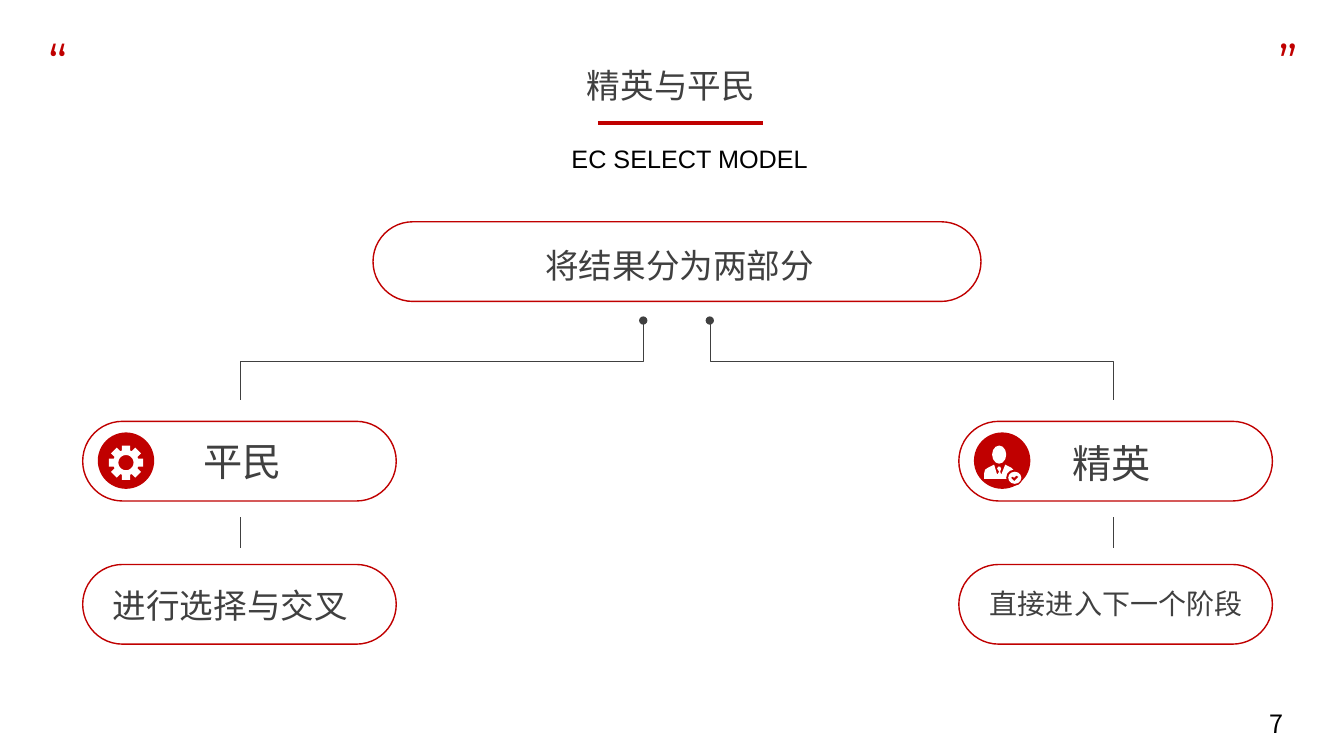
from math import cos, pi, sin

from lxml import etree
from pptx import Presentation
from pptx.dml.color import RGBColor
from pptx.enum.shapes import MSO_CONNECTOR, MSO_SHAPE
from pptx.enum.text import MSO_ANCHOR, MSO_AUTO_SIZE, PP_ALIGN
from pptx.oxml.ns import qn
from pptx.util import Pt

PX = 9144  # 100 px to the inch
PILL, OVAL = MSO_SHAPE.ROUNDED_RECTANGLE, MSO_SHAPE.OVAL
LINE, ELBOW = MSO_CONNECTOR.STRAIGHT, MSO_CONNECTOR.ELBOW
TOP, LEFT = MSO_ANCHOR.TOP, PP_ALIGN.LEFT
GROW = MSO_AUTO_SIZE.SHAPE_TO_FIT_TEXT

COLORS = {"red": "C00000", "gray": "404040", "white": "FFFFFF", "black": "000000"}
HEAD, BODY, HAN = "Montserrat", "Arial", "Noto Sans CJK SC"


def rgb(name):
    return RGBColor.from_string(COLORS[name])


def place(shape, x, y, w, h):
    shape.left, shape.top = x * PX, y * PX
    shape.width, shape.height = w * PX, h * PX


# Text
def style(shape, words, size, font, color, wrap):
    frame = shape.text_frame
    frame.text = words
    frame.word_wrap = wrap
    frame.auto_size = GROW
    frame.vertical_anchor = TOP
    para = frame.paragraphs[0]
    para.alignment = LEFT
    run = para.runs[0]
    run.font.size = Pt(size)
    run.font.name = font
    run.font.color.rgb = rgb(color)
    east = etree.SubElement(run.font._element, qn("a:ea"))
    east.set("typeface", HAN)


def add_text(slide, box, words, size, font=BODY, color="gray", wrap=False):
    shape = slide.shapes.add_textbox(*(n * PX for n in box))
    style(shape, words, size, font, color, wrap)


# Shapes
def paint(shape, color):
    shape.shadow.inherit = False
    shape.fill.solid()
    shape.fill.fore_color.rgb = rgb(color)
    shape.line.fill.background()


def add_pill(slide, x, y, w=311):
    pill = slide.shapes.add_shape(PILL, x * PX, y * PX, w * PX, 79 * PX)
    pill.adjustments[0] = 0.5
    pill.shadow.inherit = False
    pill.fill.background()
    pill.line.color.rgb = rgb("red")
    pill.line.width = Pt(1)


def add_oval(slide, x, y, w, h, color):
    paint(slide.shapes.add_shape(OVAL, x * PX, y * PX, w * PX, h * PX), color)


def add_free(slide, rings, color):
    rings = [[(x * PX, y * PX) for x, y in ring] for ring in rings]
    pen = slide.shapes.build_freeform(*rings[0][0])
    for i, ring in enumerate(rings):
        if i:
            pen.move_to(*ring[0])
        pen.add_line_segments(ring[1:], close=True)
    paint(pen.convert_to_shape(), color)


# Lines
def add_line(slide, x1, y1, x2, y2, color="gray", width=0.25, kind=LINE):
    ends = (round(n * PX) for n in (x1, y1, x2, y2))
    line = slide.shapes.add_connector(kind, *ends)
    line.line.color.rgb = rgb(color)
    line.line.width = Pt(width)
    etree.SubElement(line._element.spPr, qn("a:effectLst"))
    return line


def add_elbow(slide, x1, y1, x2, y2):
    # A quarter turn makes the elbow leave and arrive vertically
    mid_x, mid_y = (x1 + x2) / 2, (y1 + y2) / 2
    drop, span = (y2 - y1) / 2, abs(x2 - x1) / 2
    side = drop if x2 < x1 else -drop
    line = add_line(slide, mid_x - side, mid_y - span,
                    mid_x + side, mid_y + span, kind=ELBOW)
    props = line._element.spPr
    turn = 90 if x2 < x1 else 270
    props.find(qn("a:xfrm")).set("rot", str(turn * 60000))
    geom = props.find(qn("a:prstGeom"))
    guides = geom.find(qn("a:avLst"))
    if guides is None:
        guides = etree.SubElement(geom, qn("a:avLst"))
    guide = etree.SubElement(guides, qn("a:gd"))
    guide.set("name", "adj1")
    guide.set("fmla", "val 51600")
    etree.SubElement(props.find(qn("a:ln")), qn("a:headEnd")).set("type", "oval")


# Icons
def add_gear(slide, x, y):
    tooth = [(-4, -12), (-4, -17), (4, -17), (4, -12)]
    rim = []
    for k in range(8):
        c, s = cos(k * pi / 4), sin(k * pi / 4)
        rim += [(x + a * c - b * s, y + a * s + b * c) for a, b in tooth]
    angles = [-k * pi / 18 for k in range(36)]
    hole = [(x + 7.5 * cos(a), y + 7.5 * sin(a)) for a in angles]
    add_free(slide, [rim, hole], "white")


def add_person(slide):
    add_oval(slide, 984, 442, 14, 18, "white")
    suit = [(976, 475), (976, 470), (977, 466), (980, 464), (986, 461),
            (989, 471), (991, 468), (989, 465), (990, 463), (992, 463),
            (993, 465), (992, 468), (993, 471), (997, 461), (1003, 464),
            (1005, 466), (1005, 475)]
    add_free(slide, [suit], "white")
    add_oval(slide, 998, 466, 16, 16, "red")
    add_oval(slide, 1000, 468, 13, 12, "white")
    tick = [(1008, 472), (1006, 474), (1004, 473), (1003, 474),
            (1006, 477), (1010, 473)]
    add_free(slide, [tick], "red")


def main():
    deck = Presentation()
    deck.slide_width, deck.slide_height = 1333 * PX, 750 * PX
    slide = deck.slides.add_slide(deck.slide_layouts[5])

    # Heading
    add_text(slide, (38, 26, 45, 71), "“", 36, HEAD, "red")
    add_text(slide, (1258, 26, 45, 71), "”", 36, HEAD, "red")
    title = slide.shapes.title
    place(title, 572, 59, 188, 50)
    style(title, "精英与平民", 24, HEAD, "gray", False)
    add_line(slide, 593, 122, 757, 122, "red", 3)
    add_text(slide, (557, 137, 257, 40), "EC SELECT MODEL", 18, color="black")

    # Root of the tree
    add_pill(slide, 370, 220, 603)
    add_text(slide, (531, 238, 289, 50), "将结果分为两部分", 24, HEAD)

    # Two branches
    for left, start, mid in ((82, 638, 238), (951, 704, 1104)):
        add_elbow(slide, start, 318, mid, 397)
        add_pill(slide, left, 418)
        add_oval(slide, left + 15, 429, 56, 56, "red")
        add_line(slide, mid, 513, mid, 544)
        add_pill(slide, left, 560)
    add_gear(slide, 125, 459)
    add_person(slide)

    # Branch labels
    add_text(slide, (192, 429, 100, 57), "平民", 28, wrap=True)
    add_text(slide, (1054, 431, 100, 57), "精英", 28, wrap=True)
    add_text(slide, (102, 575, 280, 50), "进行选择与交叉", 24, wrap=True)
    add_text(slide, (972, 577, 280, 44), "直接进入下一个阶段", 20, wrap=True)

    # Page number
    add_text(slide, (1249, 698, 35, 40), "7", 18, HAN, "black")
    deck.save("out.pptx")


if __name__ == "__main__":
    main()
